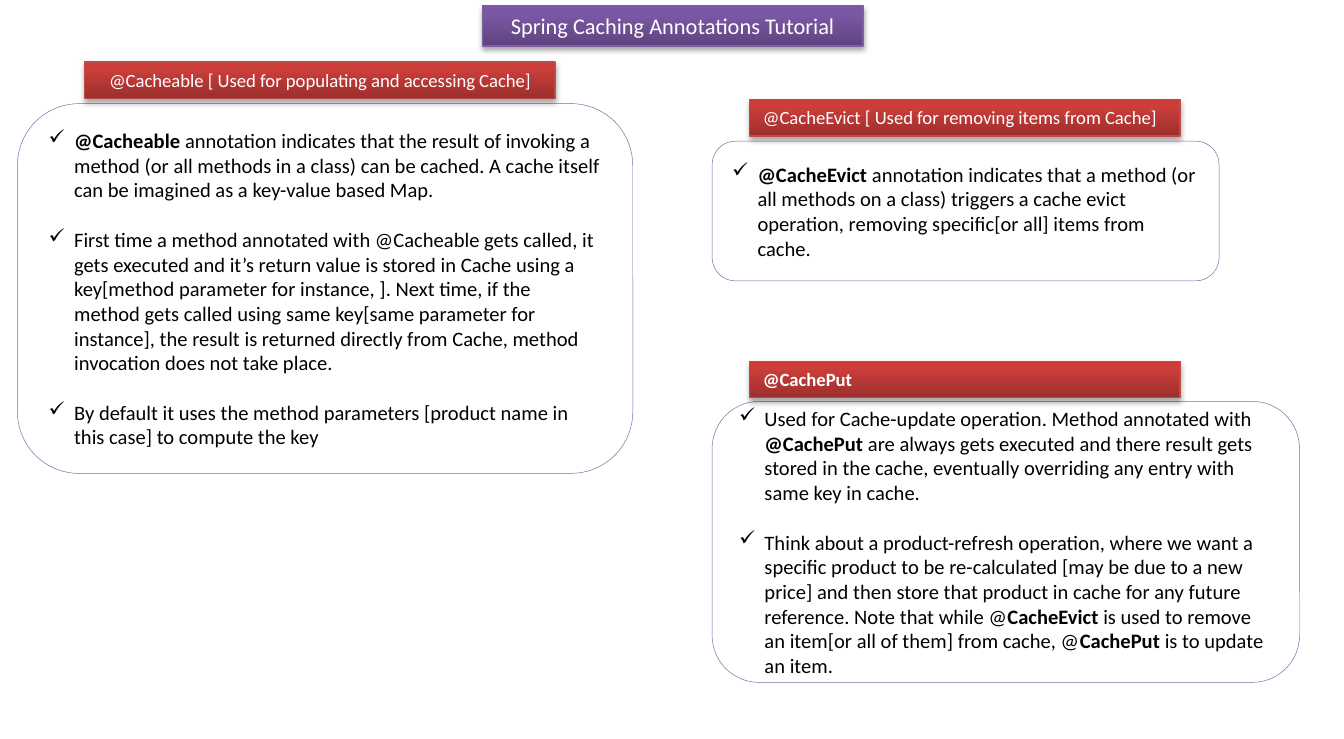
import copy
from dataclasses import dataclass

import lxml.etree
import pptx
import pptx.dml.color
import pptx.enum.shapes
import pptx.enum.text
import pptx.oxml.ns
import pptx.util

Cm = pptx.util.Cm
Pt = pptx.util.Pt
RGB = pptx.dml.color.RGBColor.from_string
SHAPE = pptx.enum.shapes.MSO_SHAPE
ALIGN = pptx.enum.text.PP_ALIGN
ANCHOR = pptx.enum.text.MSO_ANCHOR
qn = pptx.oxml.ns.qn


@dataclass(frozen=True)
class Tone:
    edge: str
    low: str
    mid: str
    top: str


@dataclass(frozen=True)
class Theme:
    font: str = "Calibri"
    ink: str = "000000"
    paper: str = "FFFFFF"
    frame: str = "8064A2"
    shade: str = "000000"
    red: Tone = Tone("BF4C48", "9C2F2D", "CB3E3A", "CE3B37")
    violet: Tone = Tone("7D60A0", "5F4480", "7B58A6", "7C57A8")
    title: float = 12
    head: float = 10
    body: float = 11
    gap: float = 13.4


THEME = Theme()


@dataclass(frozen=True)
class Box:
    """Left, top, width and height in centimetres."""
    x: float
    y: float
    w: float
    h: float


@dataclass(frozen=True)
class Bar:
    box: Box
    text: str
    tone: Tone = THEME.red
    size: float = THEME.head
    align: ALIGN = ALIGN.LEFT


@dataclass(frozen=True)
class Panel:
    box: Box
    items: tuple[str, ...]


@dataclass(frozen=True)
class Card:
    bar: Bar
    panel: Panel


# Text between double asterisks is bold.
CARDS = (
    Card(
        Bar(Box(1.6, 1.17, 8.89, 0.69),
            "@Cacheable [ Used for populating and accessing Cache]",
            align=ALIGN.CENTER),
        Panel(Box(0.33, 1.96, 11.63, 6.99), (
            "**@Cacheable **annotation indicates that the result of invoking "
            "a method (or all methods in a class) can be cached. A cache "
            "itself can be imagined as a key-value based Map.",
            "First time a method annotated with @Cacheable gets called, it "
            "gets executed and it’s return value is stored in Cache using a "
            "key[method parameter for instance, ]. Next time, if the method "
            "gets called using same key[same parameter for instance], the "
            "result is returned directly from Cache, method invocation does "
            "not take place.",
            "By default it uses the method parameters [product name in this "
            "case] to compute the key",
        )),
    ),
    Card(
        Bar(Box(14.17, 1.88, 8.13, 0.69),
            "@CacheEvict [ Used for removing items from Cache]"),
        Panel(Box(13.46, 2.67, 9.58, 2.64), (
            "**@CacheEvict** annotation indicates that a method (or all "
            "methods on a class) triggers a cache evict operation, removing "
            "specific[or all] items from cache.",
        )),
    ),
    Card(
        Bar(Box(14.17, 6.83, 8.13, 0.69), "**@CachePut**"),
        Panel(Box(13.46, 7.59, 11.1, 5.31), (
            "Used for Cache-update operation. Method annotated with "
            "**@CachePut** are always gets executed and there result gets "
            "stored in the cache, eventually overriding any entry with same "
            "key in cache.",
            "Think about a product-refresh operation, where we want a "
            "specific product to be re-calculated [may be due to a new "
            "price] and then store that product in cache for any future "
            "reference. Note that while @**CacheEvict** is used to remove an "
            "item[or all of them] from cache, @**CachePut** is to update an "
            "item.",
        )),
    ),
)
TITLE = Bar(Box(9.12, 0.1, 7.19, 0.77), "Spring Caching Annotations Tutorial",
            THEME.violet, THEME.title, ALIGN.CENTER)


def add_box(slide, kind: SHAPE, box: Box, edge: str, width: float):
    shape = slide.shapes.add_shape(
        kind, Cm(box.x), Cm(box.y), Cm(box.w), Cm(box.h))
    shape.line.color.rgb = RGB(edge)
    shape.line.width = Pt(width)
    shape.shadow.inherit = False
    shape.text_frame.word_wrap = True
    return shape


def add_text(para, text: str, size: float, ink: str) -> None:
    for i, part in enumerate(text.split("**")):
        if part:
            run = para.add_run()
            run.text = part
            run.font.name = THEME.font
            run.font.size = Pt(size)
            run.font.bold = i % 2 == 1
            run.font.color.rgb = RGB(ink)


def blend(shape, tone: Tone) -> None:
    """Fill with three stops, darkest at the foot."""
    fill = shape.fill
    fill.gradient()
    fill.gradient_angle = 90
    stops = shape._element.spPr.find(qn("a:gradFill")).find(qn("a:gsLst"))
    stops.append(copy.deepcopy(stops[-1]))
    colors = (tone.low, tone.mid, tone.top)
    for stop, place, color in zip(fill.gradient_stops, (0, 0.8, 1), colors):
        stop.position = place
        stop.color.rgb = RGB(color)


def cast(shape) -> None:
    """Add a soft shadow below the shape."""
    glow = shape._element.spPr.find(qn("a:effectLst"))
    drop = lxml.etree.SubElement(
        glow, qn("a:outerShdw"), blurRad=str(Pt(3.1)), dist=str(Pt(1.8)),
        dir="5400000", rotWithShape="0")
    color = lxml.etree.SubElement(drop, qn("a:srgbClr"), val=THEME.shade)
    lxml.etree.SubElement(color, qn("a:alpha"), val="35000")


def draw_bar(slide, bar: Bar) -> None:
    shape = add_box(slide, SHAPE.RECTANGLE, bar.box, bar.tone.edge, 0.75)
    blend(shape, bar.tone)
    cast(shape)
    frame = shape.text_frame
    frame.vertical_anchor = ANCHOR.TOP
    para = frame.paragraphs[0]
    para.alignment = bar.align
    add_text(para, bar.text, bar.size, THEME.paper)


def draw_panel(slide, panel: Panel) -> None:
    shape = add_box(slide, SHAPE.ROUNDED_RECTANGLE, panel.box,
                    THEME.frame, 0.25)
    shape.fill.solid()
    shape.fill.fore_color.rgb = RGB(THEME.paper)
    frame = shape.text_frame
    frame.vertical_anchor = ANCHOR.MIDDLE
    for i, item in enumerate(panel.items):
        para = frame.add_paragraph() if i else frame.paragraphs[0]
        props = para._p.get_or_add_pPr()
        props.set("marL", str(Cm(0.48)))
        props.set("indent", str(-Cm(0.48)))
        lxml.etree.SubElement(props, qn("a:buChar"), char="✓")
        para.alignment = ALIGN.LEFT
        if i:
            para.space_before = Pt(THEME.gap)
        add_text(para, item, THEME.body, THEME.ink)


def main() -> None:
    deck = pptx.Presentation()
    deck.slide_width, deck.slide_height = Cm(25.4), Cm(13.97)
    slide = deck.slides.add_slide(deck.slide_layouts[6])
    for card in CARDS:
        draw_panel(slide, card.panel)
        draw_bar(slide, card.bar)
    draw_bar(slide, TITLE)
    deck.save("out.pptx")


if __name__ == "__main__":
    main()
